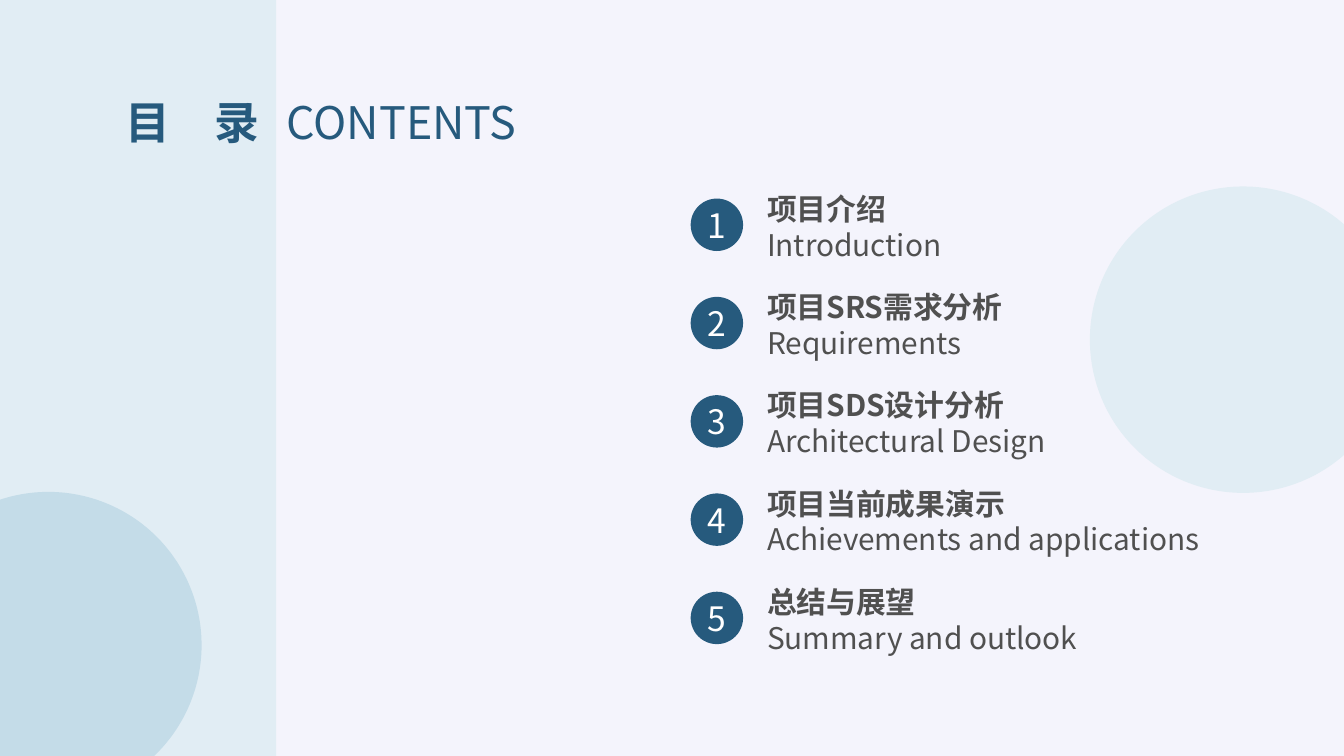
from math import acos, asin, cos, sin

from lxml.etree import SubElement
from pptx import Presentation
from pptx.dml.color import RGBColor
from pptx.enum.shapes import MSO_SHAPE
from pptx.enum.text import MSO_ANCHOR, MSO_AUTO_SIZE, PP_ALIGN
from pptx.oxml.ns import qn
from pptx.util import Inches, Pt

COLORS = {
    "background": "F4F4FC",
    "pale": "E1EDF4",
    "mist": "C4DCE8",
    "navy": "265A7D",
    "gray": "505050",
    "white": "FFFFFF",
}
FONT = "Noto Sans CJK SC"
PAGE_WIDTH, PAGE_HEIGHT = 13.33, 7.5
FIRST_TOP, LAST_TOP = 1.84, 5.74
CHAPTERS = [
    ("项目介绍", "Introduction", 3.21),
    ("项目SRS需求分析", "Requirements", 4.59),
    ("项目SDS设计分析", "Architectural Design", 4.13),
    ("项目当前成果演示", "Achievements and applications", 5.23),
    ("总结与展望", "Summary and outlook", 4.13),
]


def color(name):
    """Return the named palette colour."""
    return RGBColor.from_string(COLORS[name])


def style_paragraph(para, size, color_name, bold=None):
    """Set the paragraph font for Latin and East Asian text."""
    font = para.font
    font.name, font.size, font.bold = FONT, Pt(size), bold
    font.color.rgb = color(color_name)
    properties = para._p.pPr.find(qn("a:defRPr"))
    SubElement(properties, qn("a:ea")).set("typeface", FONT)


def clear_insets(frame):
    """Remove the inner margins and centre the text vertically."""
    frame.margin_left = frame.margin_right = 0
    frame.margin_top = frame.margin_bottom = 0
    frame.vertical_anchor = MSO_ANCHOR.MIDDLE


def paint(shape, color_name):
    """Give a shape a plain fill without line or shadow."""
    shape.shadow.inherit = False
    shape.fill.solid()
    shape.fill.fore_color.rgb = color(color_name)
    shape.line.fill.background()


def add_plain_shape(page, kind, left, top, width, height, color_name):
    """Add a flat preset shape."""
    shape = page.shapes.add_shape(
        kind, Inches(left), Inches(top), Inches(width), Inches(height))
    paint(shape, color_name)
    return shape


def add_corner_circle(page, center_x, center_y, radius, color_name, steps=120):
    """Add a circle cut off by the left and bottom page edges."""
    start = -acos(-center_x / radius)
    end = asin((PAGE_HEIGHT - center_y) / radius)
    angles = [start + (end - start) * step / steps for step in range(steps + 1)]
    points = [(Inches(center_x + radius * cos(angle)),
               Inches(center_y + radius * sin(angle))) for angle in angles]
    points.append((0, Inches(PAGE_HEIGHT)))
    builder = page.shapes.build_freeform(*points[0])
    builder.add_line_segments(points[1:], close=True)
    paint(builder.convert_to_shape(), color_name)


def add_title(page):
    """Place the two-language heading in front of the side panel."""
    title = page.shapes.title
    page.shapes._spTree.append(title._element)
    title.left, title.top = Inches(1.24), Inches(0.81)
    title.width, title.height = Inches(4.19), Inches(0.63)
    frame = title.text_frame
    frame.word_wrap = True
    frame.auto_size = MSO_AUTO_SIZE.SHAPE_TO_FIT_TEXT
    clear_insets(frame)
    para = frame.paragraphs[0]
    para.alignment = PP_ALIGN.LEFT
    para.line_spacing = 1.3
    tabs = SubElement(para._p.get_or_add_pPr(), qn("a:tabLst"))
    tab = SubElement(tabs, qn("a:tab"))
    tab.set("pos", str(Inches(1.6)))
    tab.set("algn", "l")
    style_paragraph(para, 32, "navy")
    for text, bold in (("目　录\t", True), ("CONTENTS", False)):
        span = para.add_run()
        span.text = text
        span.font.bold = bold


def add_number(page, number, top):
    """Add a numbered disc."""
    disc = add_plain_shape(page, MSO_SHAPE.OVAL, 6.85, top, 0.52, 0.52, "navy")
    clear_insets(disc.text_frame)
    para = disc.text_frame.paragraphs[0]
    para.text = str(number)
    para.alignment = PP_ALIGN.CENTER
    style_paragraph(para, 24, "white")


def add_chapter(page, chinese, english, top, width):
    """Add a chapter name in Chinese above its English name."""
    box = page.shapes.add_textbox(
        Inches(7.51), Inches(top), Inches(width), Inches(0.82))
    frame = box.text_frame
    frame.word_wrap = True
    frame.auto_size = MSO_AUTO_SIZE.SHAPE_TO_FIT_TEXT
    frame.text = f"{chinese}\n{english}"
    for para, bold in zip(frame.paragraphs, (True, False)):
        style_paragraph(para, 21.3, "gray", bold)


def main():
    """Build the contents page."""
    deck = Presentation()
    deck.slide_width, deck.slide_height = Inches(PAGE_WIDTH), Inches(PAGE_HEIGHT)
    page = deck.slides.add_slide(deck.slide_layouts.get_by_name("Title Only"))
    page.background.fill.solid()
    page.background.fill.fore_color.rgb = color("background")
    add_plain_shape(page, MSO_SHAPE.RECTANGLE, 0, 0, 2.74, PAGE_HEIGHT, "pale")
    add_plain_shape(page, MSO_SHAPE.OVAL, 10.81, 1.85, 3.04, 3.04, "pale")
    add_corner_circle(page, 0.48, 6.4, 1.52, "mist")
    add_title(page)
    pitch = (LAST_TOP - FIRST_TOP) / (len(CHAPTERS) - 1)
    for index, (chinese, english, width) in enumerate(CHAPTERS):
        top = FIRST_TOP + index * pitch
        add_number(page, index + 1, top + 0.13)
        add_chapter(page, chinese, english, top, width)
    deck.save("out.pptx")


if __name__ == "__main__":
    main()
